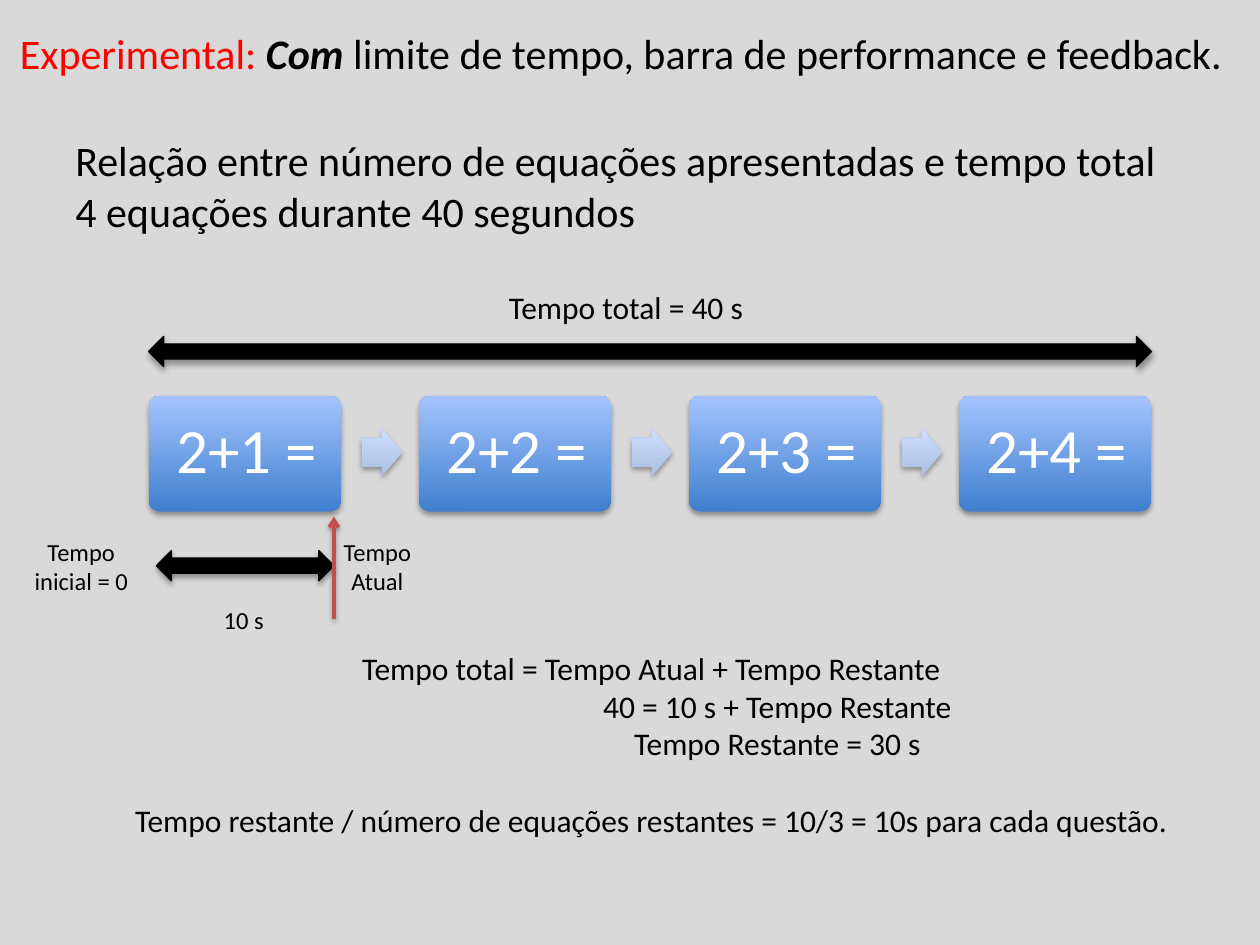
from pptx import Presentation, util as u
from pptx.dml.color import RGBColor
from pptx.enum import shapes, text
from pptx.oxml import parse_xml
from pptx.oxml.ns import nsdecls

look = dict(font="Calibri", back="D9D9D9", ink="000000", red="FF0000", white="FFFFFF",
            mark="C0504D", box=("3F7FCE", "A4C4FF"), step=("ADBFE1", "CCDDFF"),
            head=24, sum=36, body=18, note=14)
rgb = RGBColor.from_string
Inches = u.Inches
kind = shapes.MSO_SHAPE
left, mid = text.PP_ALIGN.LEFT, text.PP_ALIGN.CENTER

deck = Presentation()
deck.slide_width, deck.slide_height = Inches(10), Inches(7.5)
slide = deck.slides.add_slide(deck.slide_layouts[6])
slide.background.fill.solid()
slide.background.fill.fore_color.rgb = rgb(look["back"])


def write(lines, at=None, shape=None, size=look["body"], color=look["ink"], align=left,
          anchor=text.MSO_ANCHOR.TOP, pad=(0.1, 0.05, 0.1, 0.05), wrap=True, space=1):
    """Each line is a string or a list of (text, color, bold italic) runs."""
    if shape is None:
        shape = slide.shapes.add_textbox(*map(Inches, at))
    frame = shape.text_frame
    frame.word_wrap, frame.vertical_anchor = wrap, anchor
    (frame.margin_left, frame.margin_top,
     frame.margin_right, frame.margin_bottom) = map(Inches, pad)
    for i, line in enumerate(lines):
        para = frame.add_paragraph() if i else frame.paragraphs[0]
        para.alignment, para.line_spacing = align, space
        runs = [(line, color, False)] if isinstance(line, str) else line
        for words, tone, strong in runs:
            run = para.add_run()
            run.text = words
            font = run.font
            font.name, font.size, font.color.rgb = look["font"], u.Pt(size), rgb(tone)
            font.bold = font.italic = strong
    return frame


def draw(form, at, adj, fill):
    """Add a shape with a soft shadow; two colours give an upward gradient."""
    shape = slide.shapes.add_shape(form, *map(Inches, at))
    for i, value in enumerate(adj):
        shape.adjustments[i] = value
    if isinstance(fill, str):
        shape.fill.solid()
        shape.fill.fore_color.rgb = shape.line.color.rgb = rgb(fill)
        shape.line.width = u.Pt(0.75)
    else:
        shape.fill.gradient()
        shape.fill.gradient_angle = 90
        for stop, tone in zip(shape.fill.gradient_stops, fill):
            stop.color.rgb = rgb(tone)
        shape.line.fill.background()
    shape._element.spPr.append(parse_xml(shade))
    return shape


shade = (f'<a:effectLst {nsdecls("a")}><a:outerShdw blurRad="39370" dist="22860" dir="5400000" '
         'rotWithShape="0"><a:srgbClr val="000000"><a:alpha val="35000"/></a:srgbClr>'
         '</a:outerShdw></a:effectLst>')

# Headings
write(["Relação entre número de equações apresentadas e tempo total",
       "4 equações durante 40 segundos"], (0.5, 1.23, 9, 0.82), size=look["head"],
      anchor=text.MSO_ANCHOR.MIDDLE, pad=(0.1, 0.05, 0.1, 0.39))
write([[("Experimental: ", look["red"], False), ("Com ", look["ink"], True),
        ("limite de tempo, barra de performance e feedback.", look["ink"], False)]],
      (0.06, 0.17, 9.94, 0.82), size=look["head"])

# Chain of equations
count, start, pitch = 4, 1.18, 2.143
for i in range(count):
    x = start + i * pitch
    box = draw(kind.ROUNDED_RECTANGLE, (x, 3.14, 1.53, 0.92), [0.1], look["box"])
    write([f"2+{i + 1} ="], shape=box, size=look["sum"], color=look["white"], align=mid,
          anchor=text.MSO_ANCHOR.MIDDLE, pad=(0.18, 0.18, 0.15, 0.18), space=0.9)
    if i < count - 1:
        draw(kind.RIGHT_ARROW, (x + 1.69, 3.4, 0.32, 0.38), [0.6, 0.5], look["step"])

# Time spans
for at in ((1.24, 4.37, 1.41, 0.24), (start, 2.67, 7.96, 0.24)):
    draw(kind.LEFT_RIGHT_ARROW, at, [0.5, 0.5], look["ink"])
write(["Tempo total = 40 s"], (3.94, 2.24, 2.56, 0.4), wrap=False)

# Sums
lines = write(["Tempo total = Tempo Atual + Tempo Restante", "40 = 10 s + Tempo Restante",
               "Tempo Restante = 30 s",
               "Tempo restante / número de equações restantes = 10/3 = 10s para cada questão."],
              (0.84, 5.1, 8.66, 2.5), align=mid).paragraphs
for para in lines[1:3]:
    para._p.get_or_add_pPr().set("marL", str(Inches(2)))
lines[3].space_before = u.Pt(22)

# Marker of the current time
now = slide.shapes.add_connector(shapes.MSO_CONNECTOR.STRAIGHT, *map(Inches, (2.65, 4.91, 2.65, 4.1)))
now.line.color.rgb, now.line.width = rgb(look["mark"]), u.Pt(2)
now.line._get_or_add_ln().append(parse_xml(f'<a:tailEnd {nsdecls("a")} type="arrow"/>'))
now._element.spPr.append(parse_xml(shade))

# Time labels
for words, at in (("10 s", (1.35, 4.75, 1.17, 0.33)),
                  ("Tempo Atual", (2.41, 4.21, 1.17, 0.56)),
                  ("Tempo inicial = 0", (0.06, 4.21, 1.17, 0.8))):
    write([words], at, size=look["note"], align=mid)

deck.save("out.pptx")
